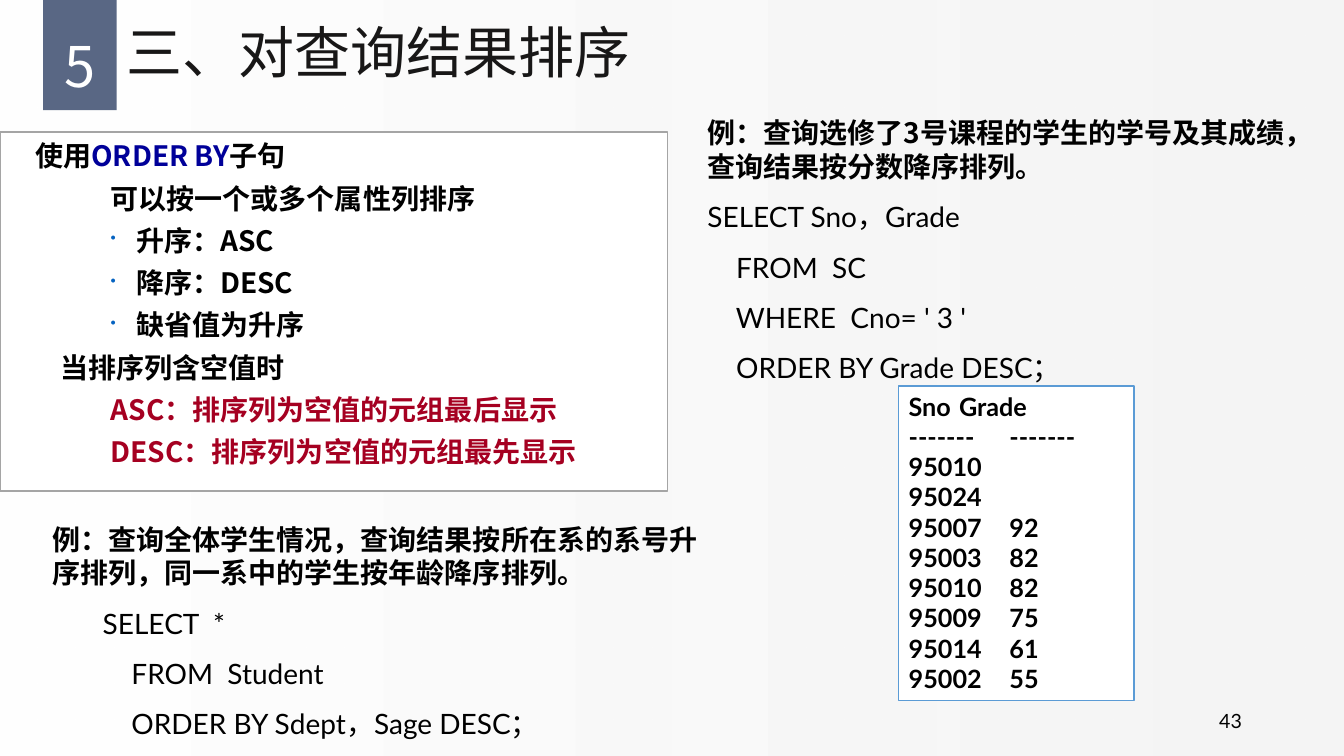
from dataclasses import dataclass

from lxml.etree import SubElement
from pptx import Presentation
from pptx.dml.color import RGBColor
from pptx.enum.shapes import MSO_SHAPE
from pptx.enum.text import MSO_ANCHOR, PP_ALIGN
from pptx.oxml.ns import qn
from pptx.util import Cm, Pt


@dataclass(frozen=True)
class Theme:
    cjk: str = "Noto Sans CJK SC"
    latin: str = "Lato"
    white: str = "FFFFFF"
    shade: str = "F2F2F2"
    badge: str = "596784"
    title: str = "181717"
    ink: str = "000000"
    keyword: str = "000099"
    warning: str = "A50021"
    bullet: str = "0563C1"
    panel_line: str = "A5A5A5"
    result_line: str = "5B9BD5"
    title_size: int = 40
    body_size: int = 20
    result_size: int = 18
    number_size: int = 14


T = Theme()


def rgb(color):
    return RGBColor.from_string(color)


def add_rect(slide, box, fill, line=None):
    s = slide.shapes.add_shape(MSO_SHAPE.RECTANGLE, *map(Cm, box))
    s.shadow.inherit = False
    s.fill.solid()
    s.fill.fore_color.rgb = rgb(fill)
    if line:
        s.line.color.rgb = rgb(line)
        s.line.width = Pt(1)
    else:
        s.line.fill.background()
    return s


def add_text(slide, box, anchor=MSO_ANCHOR.TOP):
    return set_frame(slide.shapes.add_textbox(*map(Cm, box)), anchor)


def set_frame(s, anchor=MSO_ANCHOR.TOP):
    tf = s.text_frame
    tf.word_wrap = True
    tf.vertical_anchor = anchor
    return tf


def add_paragraph(tf, text, size, color=T.ink, font=T.cjk, bold=False,
                  align=PP_ALIGN.LEFT, spacing=1.0, before=0, left=0, hanging=0):
    """Fill the empty first paragraph, or append one."""
    first = not tf.paragraphs[0].runs
    p = tf.paragraphs[0] if first else tf.add_paragraph()
    p.text = text
    p.alignment = align
    p.line_spacing = spacing
    p.space_before = Pt(0 if first else before)
    pPr = p._p.get_or_add_pPr()
    pPr.set("marL", str(Cm(left)))
    pPr.set("indent", str(-Cm(hanging)))
    for r in p.runs:
        style_run(r, size, color, font, bold)
    return p


def style_run(r, size, color, font, bold):
    r.font.size = Pt(size)
    r.font.bold = bold
    r.font.name = font
    r.font.color.rgb = rgb(color)
    SubElement(r._r.get_or_add_rPr(), qn("a:ea"), typeface=T.cjk)


def add_bullet(p):
    pPr = p._p.get_or_add_pPr()
    SubElement(SubElement(pPr, qn("a:buClr")), qn("a:srgbClr"), val=T.bullet)
    SubElement(pPr, qn("a:buSzPct"), val="55000")
    SubElement(pPr, qn("a:buChar"), char="•")


def add_tab(p, position):
    tabs = SubElement(p._p.get_or_add_pPr(), qn("a:tabLst"))
    SubElement(tabs, qn("a:tab"), pos=str(Cm(position)), algn="l")


def add_backdrop(slide, box):
    s = add_rect(slide, box, T.white)
    s.fill.gradient()
    s.fill.gradient_angle = 0
    for stop, color in zip(s.fill.gradient_stops, (T.white, T.shade)):
        stop.color.rgb = rgb(color)
    end = s.element.xpath(".//a:gs[2]/a:srgbClr")[0]
    SubElement(end, qn("a:alpha"), val="72000")


def add_header(slide, box, number, title):
    left, top, width, height = box
    badge_width = 1.85
    add_rect(slide, (left, top, badge_width, height), T.badge)
    tf = add_text(slide, (left, top + 0.28, badge_width, 2))
    tf.margin_left = tf.margin_right = tf.margin_top = tf.margin_bottom = 0
    add_paragraph(tf, number, T.title_size, T.white,
                  align=PP_ALIGN.CENTER, spacing=1.3)
    title_box = (left + badge_width, top, width - badge_width, height)
    tf = add_text(slide, title_box, MSO_ANCHOR.MIDDLE)
    add_paragraph(tf, title, T.title_size, T.title, spacing=0.9)


def add_rules(slide, box):
    """Panel that explains the ORDER BY clause."""
    tf = set_frame(add_rect(slide, box, T.white, T.panel_line))
    style = dict(size=T.body_size, bold=True, spacing=1.05, before=5)
    p = add_paragraph(tf, "使用", left=0.64, **style)
    for text, color in (("ORDER BY", T.keyword), ("子句", T.ink)):
        r = p.add_run()
        r.text = text
        style_run(r, T.body_size, color, T.cjk, True)
    add_paragraph(tf, "可以按一个或多个属性列排序", left=2.54, **style)
    for text in ("升序：ASC", "降序：DESC", "缺省值为升序"):
        add_bullet(add_paragraph(tf, text, left=3.18, hanging=0.64, **style))
    add_paragraph(tf, "当排序列含空值时", left=1.27, **style)
    for text in ("ASC：排序列为空值的元组最后显示",
                 "DESC：排序列为空值的元组最先显示"):
        add_paragraph(tf, text, color=T.warning, left=2.54, **style)


def add_example(slide, box, question, code, left=0):
    tf = add_text(slide, box)
    add_paragraph(tf, question, T.body_size, bold=True)
    for line in code:
        add_paragraph(tf, line, T.body_size, font=T.latin, spacing=1.5, left=left)


def add_result(slide, box, rows):
    """Query output in two tabbed columns, grades set further in."""
    tf = set_frame(add_rect(slide, box, T.white, T.result_line))
    for i, row in enumerate(rows):
        p = add_paragraph(tf, "\t".join(row), T.result_size, font=T.latin, bold=True)
        if len(row) > 1:
            add_tab(p, 2.31 if i < 2 else 2.95)


def add_number(slide, box, number):
    tf = add_text(slide, box, MSO_ANCHOR.MIDDLE)
    add_paragraph(tf, number, T.number_size, font=T.latin, align=PP_ALIGN.RIGHT)


def main():
    prs = Presentation()
    prs.slide_width, prs.slide_height = Cm(33.87), Cm(19.05)
    slide = prs.slides.add_slide(prs.slide_layouts[6])

    add_backdrop(slide, (0, 0, 33.87, 19.05))
    add_header(slide, (1.09, 0, 27.05, 2.78), "5", "三、对查询结果排序")
    add_rules(slide, (0, 3.33, 16.82, 9.04))
    add_number(slide, (23.93, 17.65, 7.62, 1.02), "43")
    add_example(slide, (17.58, 2.79, 16.08, 6.91),
                "例：查询选修了3号课程的学生的学号及其成绩，查询结果按分数降序排列。",
                ("SELECT Sno，Grade", "    FROM  SC",
                 "    WHERE  Cno= ' 3 '", "    ORDER BY Grade DESC；"))
    add_result(slide, (22.65, 9.73, 5.93, 7.92),
               (("Sno", "Grade"), ("-------", "-------"),
                ("95010",), ("95024",), ("95007", "92"), ("95003", "82"),
                ("95010", "82"), ("95009", "75"), ("95014", "61"), ("95002", "55")))
    add_example(slide, (1.07, 13.03, 16.94, 5.64),
                "例：查询全体学生情况，查询结果按所在系的系号升序排列，同一系中的学生按年龄降序排列。",
                ("SELECT  *", "    FROM  Student", "    ORDER BY Sdept，Sage DESC；"),
                left=1.27)

    prs.save("out.pptx")


if __name__ == "__main__":
    main()
